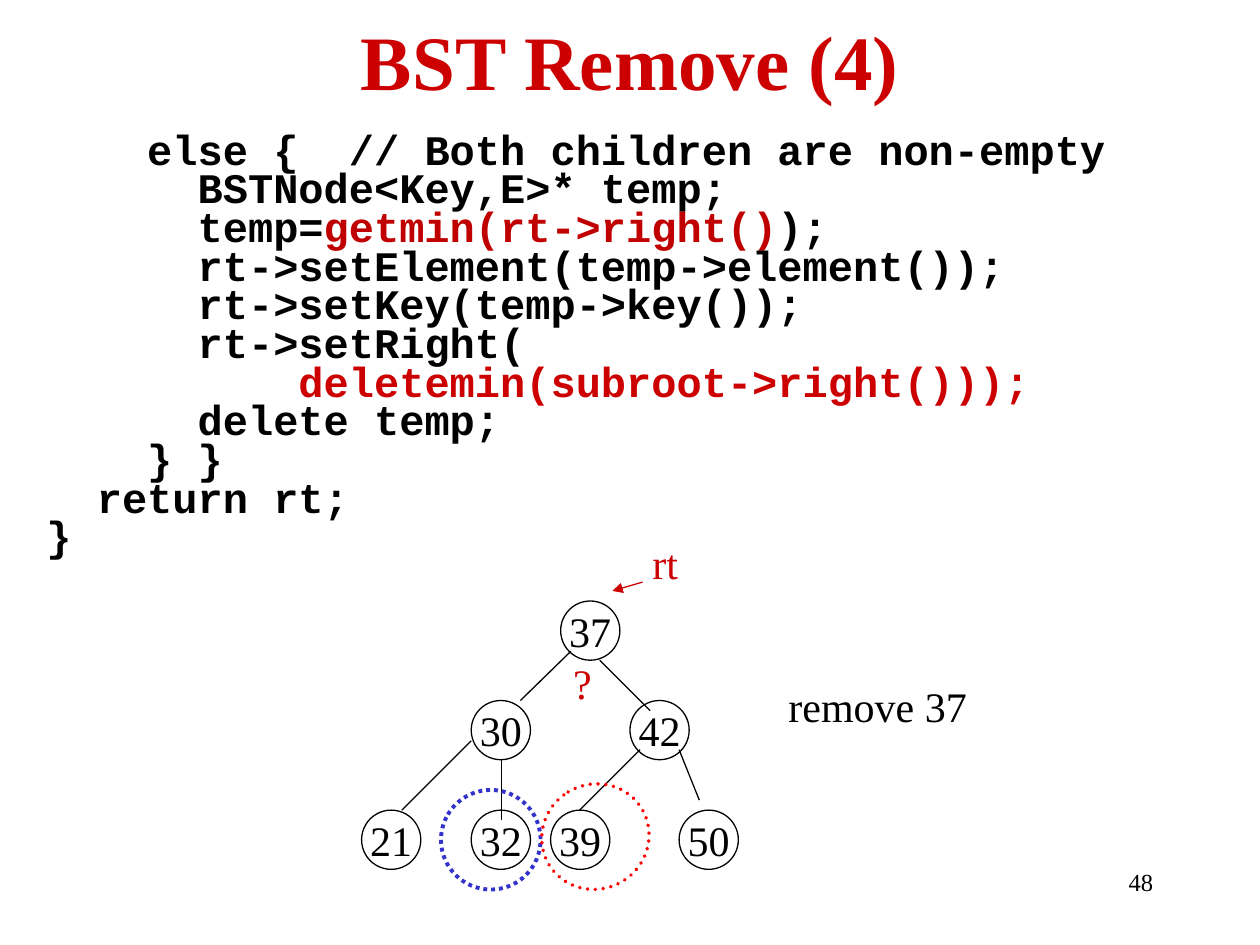
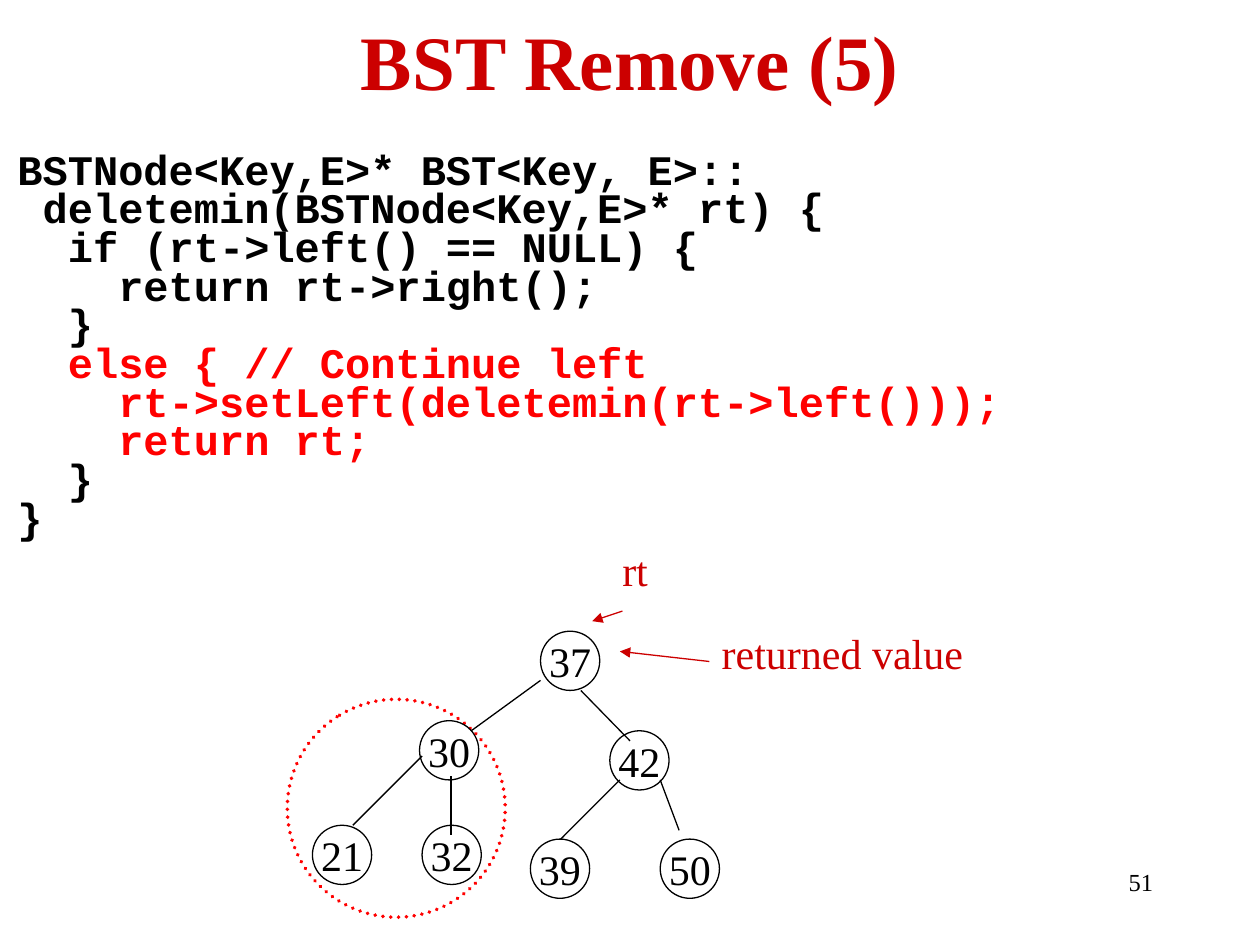
from pptx import Presentation
from pptx.dml.color import RGBColor
from pptx.enum import dml, shapes, text
from pptx.oxml.ns import qn
from pptx.util import Emu, Pt
from lxml import etree

PX = 9144
COLORS = {"ink": "000000", "title": "CC0000", "accent": "C00000", "red": "FF0000", "blue": "3333CC"}
SERIF, MONO = "Times New Roman", "Courier New"
TITLE_BOX = (50, -3, 900, 100)
NUMBER_BOX = (717, 683, 208, 50)
NODE = 47

SLIDES = [
    {
        "title": "BST Remove (4)",
        "number": "48",
        "code_box": (27, 107, 950, 469),
        "code": [
            [("    else {  // Both children are non-empty", "ink")],
            [("      BSTNode<Key,E>* temp;", "ink")],
            [("      temp=", "ink"), ("getmin(rt->right()", "accent"), (");", "ink")],
            [("      rt->setElement(temp->element());", "ink")],
            [("      rt->setKey(temp->key());", "ink")],
            [("      rt->setRight(", "ink")],
            [("          deletemin(subroot->right()));", "title")],
            [("      delete temp;", "ink")],
            [("    } }", "ink")],
            [("  return rt;", "ink")],
            [("}", "ink")],
        ],
        "nodes": {"37": (445, 477), "30": (374, 556), "42": (500, 556), "21": (287, 643),
                  "32": (374, 643), "39": (437, 643), "50": (539, 643)},
        "edges": [(413, 556, 453, 517), (476, 524, 516, 564), (374, 588, 319, 643),
                  (398, 603, 398, 651), (508, 595, 460, 643), (539, 595, 555, 635)],
        "arrows": [(510, 462, 486, 469)],
        "labels": [("rt", (508, 422, 42, 50), "title"), ("?", (445, 517, 35, 50), "title"),
                   ("remove 37", (616, 535, 163, 50), "ink")],
        "rings": [((350, 627, 79, 79), 30.5, "blue", "flat"),
                  ((431, 621, 83, 86), 58.6, "red", "rnd")],
    },
    {
        "title": "BST Remove (5)",
        "number": "51",
        "code_box": (4, 123, 996, 386),
        "code": [
            [("BSTNode<Key,E>* BST<Key, E>::", "ink")],
            [(" deletemin(BSTNode<Key,E>* rt) {", "ink")],
            [("  if (rt->left() == NULL) {", "ink")],
            [("    return rt->right();", "ink")],
            [("  }", "ink")],
            [("  else { // Continue left", "red")],
            [("    rt->setLeft(deletemin(rt->left()));", "red")],
            [("    return rt;", "red")],
            [("  }", "ink")],
            [("}", "ink")],
        ],
        "nodes": {"37": (429, 501), "30": (333, 572), "42": (484, 580), "21": (248, 655),
                  "32": (335, 655), "39": (421, 666), "50": (524, 666)},
        "edges": [(374, 580, 429, 540), (461, 548, 500, 588), (335, 600, 280, 655),
                  (358, 616, 358, 663), (492, 619, 445, 666), (524, 619, 539, 659)],
        "arrows": [(494, 485, 470, 493), (563, 525, 492, 517)],
        "labels": [("rt", (484, 427, 42, 50), "title"),
                   ("returned value", (563, 493, 214, 50), "title")],
        "rings": [((228, 555, 173, 173), 58.6, "red", "rnd")],
    },
]


def px(lengths):
    return [Emu(length * PX) for length in lengths]


def rgb(color):
    return RGBColor.from_string(COLORS[color])


def write(frame, lines, font=SERIF, size=24, color="ink", bold=False, align="LEFT",
          anchor="TOP", wrap=True, grow=False, leading=None, before=0):
    frame.word_wrap = wrap
    frame.vertical_anchor = getattr(text.MSO_ANCHOR, anchor)
    frame.auto_size = text.MSO_AUTO_SIZE.SHAPE_TO_FIT_TEXT if grow else text.MSO_AUTO_SIZE.NONE
    if isinstance(lines, str):
        lines = [[(lines, color)]]
    for row, line in enumerate(lines):
        paragraph = frame.add_paragraph() if row else frame.paragraphs[0]
        paragraph.alignment = getattr(text.PP_ALIGN, align)
        paragraph.line_spacing = leading
        paragraph.space_before = Pt(before if row else 0)
        for words, tint in line:
            run = paragraph.add_run()
            run.text = words
            run.font.name, run.font.size, run.font.bold = font, Pt(size), bold
            run.font.color.rgb = rgb(tint)


def add_text(slide, box, lines, **style):
    write(slide.shapes.add_textbox(*px(box)).text_frame, lines, **style)


def add_circle(slide, box, color="ink", width=0.75):
    circle = slide.shapes.add_shape(shapes.MSO_SHAPE.OVAL, *px(box))
    circle.shadow.inherit = False
    circle.fill.background()
    circle.line.color.rgb = rgb(color)
    circle.line.width = Pt(width)
    return circle


def add_ring(slide, box, angle, color, cap):
    ring = add_circle(slide, box, color, 2.25)
    ring.rotation = angle
    ring.line.dash_style = dml.MSO_LINE.ROUND_DOT
    ring.line._get_or_add_ln().set("cap", cap)


def add_line(slide, ends, color="ink", arrow=False):
    line = slide.shapes.add_connector(shapes.MSO_CONNECTOR.STRAIGHT, *px(ends))
    line.line.color.rgb = rgb(color)
    line.line.width = Pt(0.75)
    if arrow:
        etree.SubElement(line.line._get_or_add_ln(), qn("a:tailEnd"), type="triangle")
    etree.SubElement(line._element.spPr, qn("a:effectLst"))


def build_slide(deck, content):
    slide = deck.slides.add_slide(deck.slide_layouts[5])
    title = slide.shapes.title
    title.left, title.top, title.width, title.height = px(TITLE_BOX)
    write(title.text_frame, content["title"], size=44, color="title", bold=True,
          align="CENTER", anchor="MIDDLE")
    add_text(slide, content["code_box"], content["code"], font=MONO, bold=True,
             leading=0.6, before=4.8)
    for ends in content["edges"]:
        add_line(slide, ends)
    for ends in content["arrows"]:
        add_line(slide, ends, "title", arrow=True)
    for ring in content["rings"]:
        add_ring(slide, *ring)
    for key, corner in content["nodes"].items():
        node = add_circle(slide, (*corner, NODE, NODE))
        write(node.text_frame, key, align="CENTER", anchor="MIDDLE", wrap=False)
    for label, box, color in content["labels"]:
        add_text(slide, box, label, color=color, wrap=False, grow=True)
    add_text(slide, NUMBER_BOX, content["number"], size=14, align="RIGHT")


def main():
    deck = Presentation()
    deck.slide_width, deck.slide_height = px((1000, 750))
    for content in SLIDES:
        build_slide(deck, content)
    deck.save("out.pptx")


if __name__ == "__main__":
    main()
